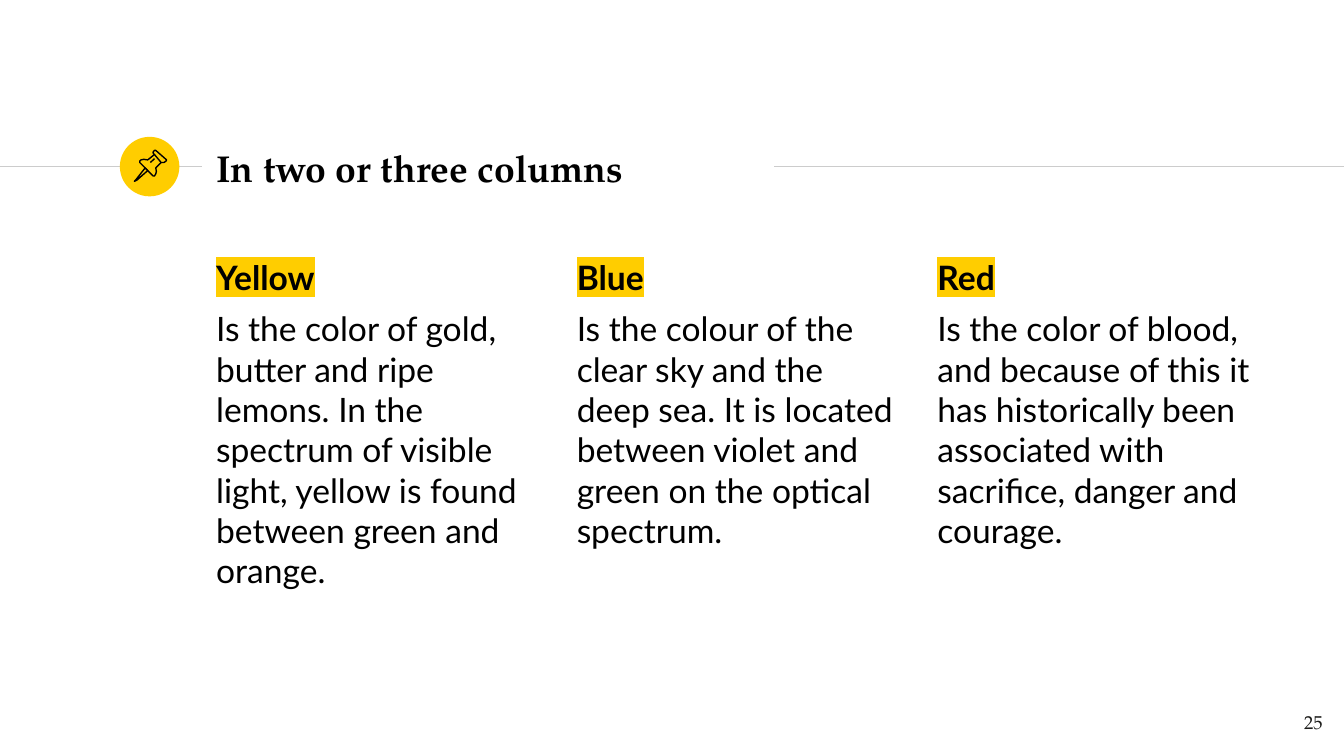
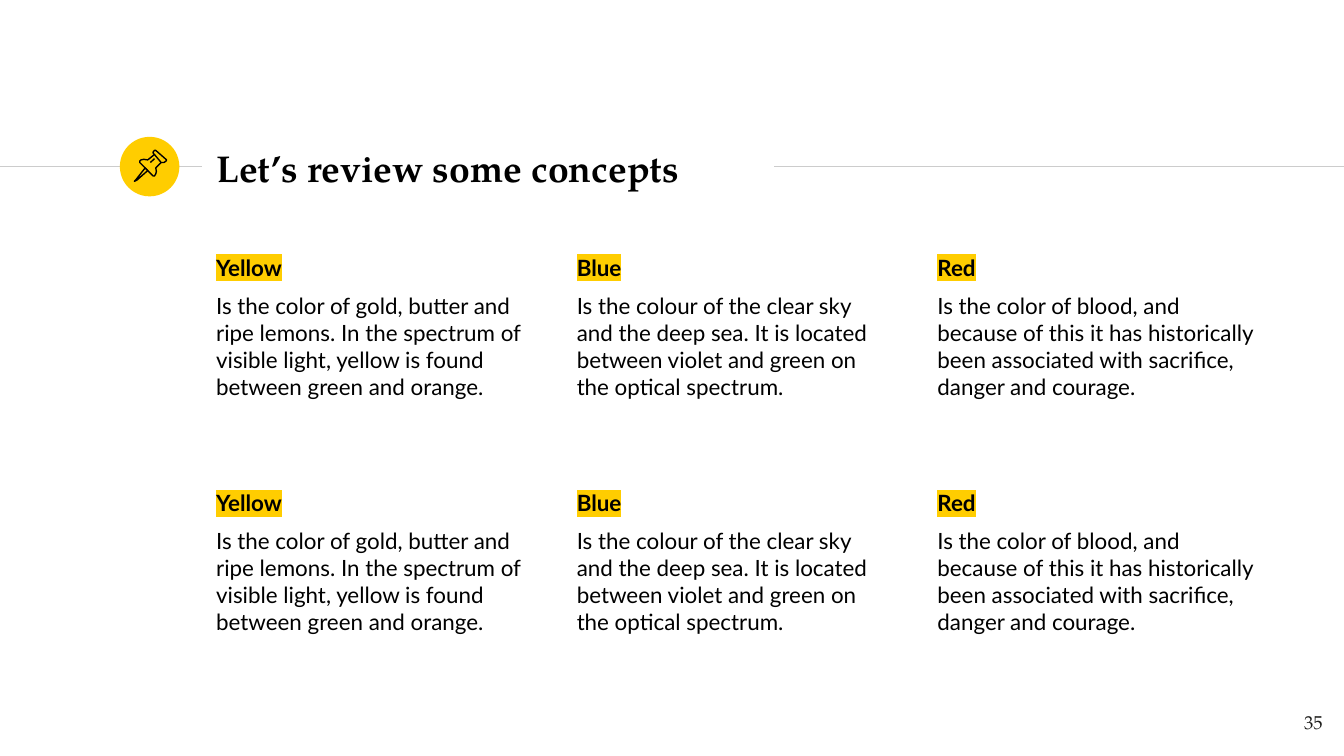
from lxml import etree
from pptx import Presentation
from pptx import util as u
from pptx.dml.color import RGBColor
from pptx.enum import shapes, text
from pptx.oxml import ns

Pt = u.Pt

COLORS = {
    "yellow": "FFCD00",
    "rule": "CCCCCC",
    "ink": "000000",
    "number": "1D1D1B",
}
SERIF, SANS = "TeX Gyre Pagella", "Lato"

WIDTH, HEIGHT = 720, 405
RULE_Y = 89.3
COLUMN_LEFT, COLUMN_PITCH, COLUMN_WIDTH = 108.7, 193.2, 183.6

CONCEPTS = [
    ("Yellow", "Is the color of gold, butter and ripe lemons. In the spectrum "
               "of visible light, yellow is found between green and orange."),
    ("Blue", "Is the colour of the clear sky and the deep sea. It is located "
             "between violet and green on the optical spectrum."),
    ("Red", "Is the color of blood, and because of this it has historically "
            "been associated with sacrifice, danger and courage."),
]

# Pushpin outlines: (closed, points)
PIN = [
    (True, [(77.8, 90), (72.7, 96.5), (72, 97.2), (73.4, 96.5), (79.2, 91.4)]),
    (True, [(82.8, 82.8), (86.4, 87.1), (87.8, 87.1), (88.9, 86.4),
            (89.3, 85.7), (83.5, 80.6), (82.8, 80.6), (82.1, 81.4),
            (82.1, 82.1)]),
    (False, [(82.8, 82.8), (79.2, 85.7), (77, 85.4), (75.6, 85.7),
             (74.9, 86.4), (74.9, 87.1), (82.1, 94.3), (82.8, 94.3),
             (83.5, 93.2), (83.8, 91.8), (83.5, 90), (86.4, 87.1)]),
    (False, [(80.6, 87.1), (82.8, 85)]),
]


def rgb(name):
    return RGBColor.from_string(COLORS[name])


class Deck:
    def __init__(self):
        self.prs = Presentation()
        self.prs.slide_width, self.prs.slide_height = Pt(WIDTH), Pt(HEIGHT)
        self.s = None

    def slide(self, title, number):
        """Start a slide with its title, rules, pin badge and number."""
        self.s = self.prs.slides.add_slide(self.prs.slide_layouts[5])
        self.rule(0, 108)
        self.badge(64.2, 73.3, 31.9)
        self.rule(414.8, WIDTH)
        self.title(title)
        self.pin()
        self.number(number)

    def frame(self, sp, anchor=text.MSO_ANCHOR.TOP):
        tf = sp.text_frame
        tf.word_wrap = True
        tf.auto_size = text.MSO_AUTO_SIZE.NONE
        tf.vertical_anchor = anchor
        tf.margin_left = tf.margin_right = Pt(7.2)
        tf.margin_top = tf.margin_bottom = Pt(7.2)
        return tf

    def add_text(self, p, words, font, size, color="ink", bold=False,
                 align=text.PP_ALIGN.LEFT):
        p.alignment = align
        p.font.name, p.font.size, p.font.bold = font, Pt(size), bold
        p.font.color.rgb = rgb(color)
        r = p.add_run()
        r.text = words
        return r

    def highlight(self, r, color):
        mark = etree.SubElement(r._r.get_or_add_rPr(), ns.qn("a:highlight"))
        etree.SubElement(mark, ns.qn("a:srgbClr"), val=COLORS[color])

    def box(self, x, y, w, h):
        return self.frame(self.s.shapes.add_textbox(Pt(x), Pt(y), Pt(w), Pt(h)))

    def title(self, words):
        sp = self.s.shapes.title
        sp.left, sp.top, sp.width, sp.height = Pt(108.7), Pt(72.7), Pt(305.3), Pt(34.6)
        tf = self.frame(sp, text.MSO_ANCHOR.MIDDLE)
        self.add_text(tf.paragraphs[0], words, SERIF, 20, bold=True)

    def rule(self, x1, x2):
        line = self.s.shapes.add_connector(
            shapes.MSO_CONNECTOR.STRAIGHT, Pt(x1), Pt(RULE_Y), Pt(x2), Pt(RULE_Y))
        line.line.color.rgb, line.line.width = rgb("rule"), Pt(0.75)
        etree.SubElement(line._element.spPr, ns.qn("a:effectLst"))

    def badge(self, x, y, size):
        sp = self.s.shapes.add_shape(
            shapes.MSO_SHAPE.OVAL, Pt(x), Pt(y), Pt(size), Pt(size))
        sp.shadow.inherit = False
        sp.fill.solid()
        sp.fill.fore_color.rgb = rgb("yellow")
        sp.line.fill.background()

    def pin(self):
        group = self.s.shapes.add_group_shape()
        for closed, points in PIN:
            start, *rest = [(Pt(x), Pt(y)) for x, y in points]
            outline = group.shapes.build_freeform(*start)
            outline.add_line_segments(rest, close=closed)
            sp = outline.convert_to_shape()
            sp.shadow.inherit = False
            sp.fill.background()
            sp.line.color.rgb, sp.line.width = rgb("ink"), Pt(0.75)

    def number(self, n):
        tf = self.box(672.5, 373.7, 43.2, 31)
        self.add_text(tf.paragraphs[0], str(n), SERIF, 10, "number",
                      align=text.PP_ALIGN.RIGHT)

    def concepts(self, y, height, size):
        """Set the three concepts side by side, each under a marked heading."""
        for i, (name, meaning) in enumerate(CONCEPTS):
            tf = self.box(COLUMN_LEFT + i * COLUMN_PITCH, y, COLUMN_WIDTH, height)
            heading, body = tf.paragraphs[0], tf.add_paragraph()
            heading.space_before = body.space_before = Pt(6)
            r = self.add_text(heading, name, SANS, size, bold=True)
            self.highlight(r, "yellow")
            self.add_text(body, meaning, SANS, size)


def main():
    deck = Deck()
    deck.slide("In two or three columns", 25)
    deck.concepts(130.3, 245.5, 18)

    deck.slide("Let’s review some concepts", 35)
    for y in (128.9, 254.9):
        deck.concepts(y, 95, 12)

    deck.prs.save("out.pptx")


if __name__ == "__main__":
    main()
